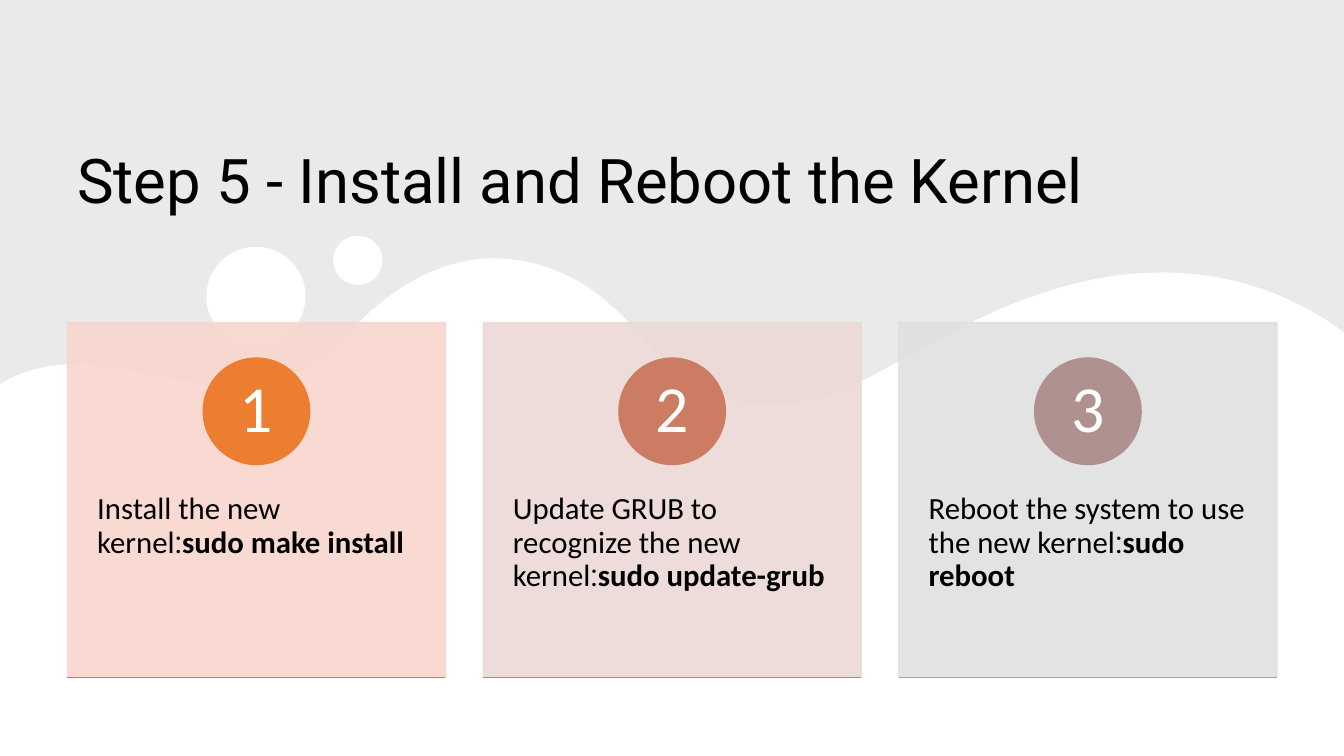
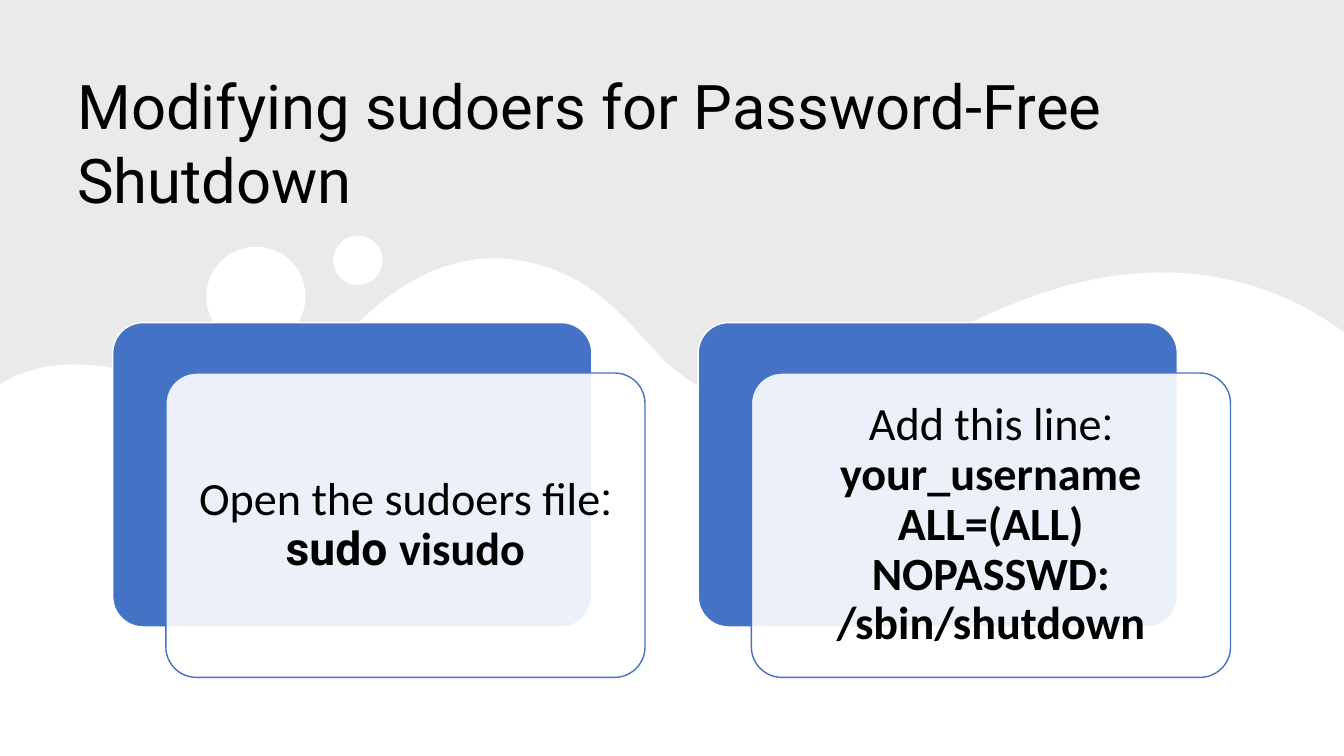
from collections import namedtuple

from lxml.etree import SubElement
from pptx import Presentation
from pptx.dml.color import RGBColor
from pptx.enum.shapes import MSO_CONNECTOR as CONN, MSO_SHAPE as SHAPE
from pptx.enum.text import MSO_ANCHOR as ANCHOR, PP_ALIGN as ALIGN
from pptx.oxml.ns import qn
from pptx.util import Cm, Pt

BLACK = RGBColor(0x00, 0x00, 0x00)
WHITE = RGBColor(0xFF, 0xFF, 0xFF)
BACKDROP = RGBColor(0xF2, 0xF1, 0xF1)
TINT = RGBColor(0xAE, 0xAE, 0xAE)
BLUE = RGBColor(0x44, 0x72, 0xC4)
PEACH = RGBColor(0xF8, 0xD7, 0xCE)
ORANGE = RGBColor(0xED, 0x7D, 0x31)
COPPER = RGBColor(0xDC, 0x79, 0x4A)
ROSE = RGBColor(0xED, 0xD9, 0xD6)
CLAY = RGBColor(0xCB, 0x7C, 0x63)
BRICK = RGBColor(0xBD, 0x84, 0x79)
SILVER = RGBColor(0xE0, 0xE0, 0xE0)
MAUVE = RGBColor(0xAF, 0x91, 0x8F)
GREY = RGBColor(0xA3, 0xA3, 0xA3)

BODY, HEAD = "Calibri", "Roboto"

Box = namedtuple("Box", "x y w h")
Run = namedtuple("Run", "text font bold", defaults=(BODY, False))

PAGE = Box(0, 0, 33.87, 19.05)
TITLE = Box(1.7, 1.55, 30.48, 4.01)
STEPS = Box(1.7, 8.13, 30.48, 8.94)
PANELS = Box(2.84, 8.13, 28.17, 8.94)

BUBBLES = [Box(5.2, 6.22, 2.5, 2.5), Box(8.4, 5.94, 1.24, 1.24)]
WAVE_START = (0.18, 9.58)
WAVE_CURVES = [
    ((1.12, 9.09), (2.08, 9.12), (3.1, 9.32)),
    ((4.19, 9.55), (5.33, 9.73), (6.45, 9.73)),
    ((7.49, 9.75), (8.2, 8.97), (8.89, 8.28)),
    ((10.57, 6.53), (12.5, 6.02), (14.43, 7.01)),
    ((15.19, 7.39), (15.82, 8.08), (16.41, 8.74)),
    ((17.96, 10.49), (19.86, 10.54), (21.67, 9.63)),
    ((22.94, 8.99), (24.16, 8.2), (25.5, 7.67)),
    ((28.37, 6.5), (31.17, 6.55), (33.63, 8.2)),
]

STEP_CARDS = [
    (PEACH, ORANGE, COPPER, "Install the new kernel", "sudo make install"),
    (ROSE, CLAY, BRICK, "Update GRUB to recognize the new kernel", "sudo update-grub"),
    (SILVER, MAUVE, GREY, "Reboot the system to use the new kernel", "sudo reboot"),
]
SUDOERS_PANELS = [
    [Run("Open the sudoers file"), Run(": ", HEAD),
     Run("sudo ", HEAD, True), Run("visudo", BODY, True)],
    [Run("Add this line"), Run(": ", HEAD),
     Run("your_username ALL=(ALL) NOPASSWD: /sbin/shutdown", BODY, True)],
]


def lengths(box):
    return [Cm(v) for v in box]


def apply(target, values):
    for name, value in values.items():
        setattr(target, name, value)


def set_alpha(fill_parent, percent):
    clr = fill_parent.find(qn("a:solidFill"))[0]
    SubElement(clr, qn("a:alpha")).set("val", str(percent * 1000))


def paint(sp, fill, line=None, fill_alpha=100, line_alpha=100):
    sp.shadow.inherit = False
    sp.fill.solid()
    sp.fill.fore_color.rgb = fill
    if fill_alpha < 100:
        set_alpha(sp.fill._xPr, fill_alpha)
    if line is None:
        sp.line.fill.background()
        return
    sp.line.color.rgb = line
    sp.line.width = Pt(1)
    if line_alpha < 100:
        set_alpha(sp.line._ln, line_alpha)


def add_box(slide, kind, box, fill, line=None, **alphas):
    sp = slide.shapes.add_shape(kind, *lengths(box))
    paint(sp, fill, line, **alphas)
    return sp


def write(sp, runs, size, color=BLACK, align=ALIGN.LEFT, spacing=0.9,
          anchor=ANCHOR.MIDDLE, margins=(0.25, 0.13, 0.25, 0.13)):
    tf = sp.text_frame
    sides = ("margin_left", "margin_top", "margin_right", "margin_bottom")
    apply(tf, {"word_wrap": True, "vertical_anchor": anchor,
               **dict(zip(sides, lengths(margins)))})
    p = tf.paragraphs[0]
    apply(p, {"alignment": align, "line_spacing": spacing})
    for run in runs:
        r = p.add_run()
        r.text = run.text
        apply(r.font, {"name": run.font, "size": Pt(size), "bold": run.bold})
        r.font.color.rgb = color


def columns(box, count, gap):
    w = (box.w - gap * (count - 1)) / count
    return [Box(box.x + i * (w + gap), box.y, w, box.h) for i in range(count)]


def bezier(p0, p1, p2, p3, steps=24):
    for i in range(1, steps + 1):
        t = i / steps
        u = 1 - t
        yield tuple(u**3 * a + 3 * u * u * t * b + 3 * u * t * t * c + t**3 * d
                    for a, b, c, d in zip(p0, p1, p2, p3))


def add_wave(slide):
    points = [WAVE_START]
    for curve in WAVE_CURVES:
        points.extend(bezier(points[-1], *curve))
    points += [(PAGE.w, 8.38), (PAGE.w, PAGE.h), (0, PAGE.h)]
    fb = slide.shapes.build_freeform(Cm(0), Cm(9.68))
    fb.add_line_segments([(Cm(x), Cm(y)) for x, y in points], close=True)
    paint(fb.convert_to_shape(), WHITE)


def add_base(prs, title):
    slide = prs.slides.add_slide(prs.slide_layouts[6])
    slide.background.fill.solid()
    slide.background.fill.fore_color.rgb = BACKDROP
    add_box(slide, SHAPE.RECTANGLE, PAGE, TINT, fill_alpha=10)
    add_wave(slide)
    for bubble in BUBBLES:
        add_box(slide, SHAPE.OVAL, bubble, WHITE)
    write(slide.shapes.add_textbox(*lengths(TITLE)), [Run(title, HEAD)], 44,
          spacing=1.0, anchor=ANCHOR.BOTTOM)
    return slide


def add_rule(slide, box, color):
    y = box.y + box.h
    cx = slide.shapes.add_connector(
        CONN.STRAIGHT, Cm(box.x), Cm(y), Cm(box.x + box.w), Cm(y))
    cx.line.color.rgb = color
    cx.line.width = Pt(1)
    SubElement(cx._element.spPr, qn("a:effectLst"))


def add_step(slide, box, number, card):
    fill, badge_color, rule_color, text, command = card
    sp = add_box(slide, SHAPE.RECTANGLE, box, fill, fill, fill_alpha=90, line_alpha=90)
    write(sp, [Run(text), Run(":", HEAD), Run(command, BODY, True)], 22,
          anchor=ANCHOR.TOP, margins=(0.75, 4.3, 0.75, 0.9))
    d = box.h * 0.3
    badge = Box(box.x + (box.w - d) / 2, box.y + box.h * 0.1, d, d)
    sp = add_box(slide, SHAPE.OVAL, badge, badge_color, badge_color)
    write(sp, [Run(str(number))], 47, WHITE, ALIGN.CENTER,
          margins=(0.2, 0.03, 0.2, 0.03))
    add_rule(slide, box, rule_color)


def add_panel(slide, box, runs, dx=1.34, dy=1.27):
    w, h = box.w - dx, box.h - dy
    back = add_box(slide, SHAPE.ROUNDED_RECTANGLE, Box(box.x, box.y, w, h), BLUE, WHITE)
    front = add_box(slide, SHAPE.ROUNDED_RECTANGLE,
                    Box(box.x + dx, box.y + dy, w, h), WHITE, BLUE, fill_alpha=90)
    for sp in (back, front):
        sp.adjustments[0] = 0.1
    write(front, runs, 33, align=ALIGN.CENTER, margins=(0.35,) * 4)


def steps_slide(prs):
    slide = add_base(prs, "Step 5 - Install and Reboot the Kernel")
    boxes = columns(STEPS, len(STEP_CARDS), 0.95)
    for number, (box, card) in enumerate(zip(boxes, STEP_CARDS), 1):
        add_step(slide, box, number, card)


def sudoers_slide(prs):
    slide = add_base(prs, "Modifying sudoers for Password-Free Shutdown")
    for box, runs in zip(columns(PANELS, len(SUDOERS_PANELS), 1.34), SUDOERS_PANELS):
        add_panel(slide, box, runs)


def main():
    prs = Presentation()
    apply(prs, {"slide_width": Cm(PAGE.w), "slide_height": Cm(PAGE.h)})
    steps_slide(prs)
    sudoers_slide(prs)
    prs.save("out.pptx")


if __name__ == "__main__":
    main()
